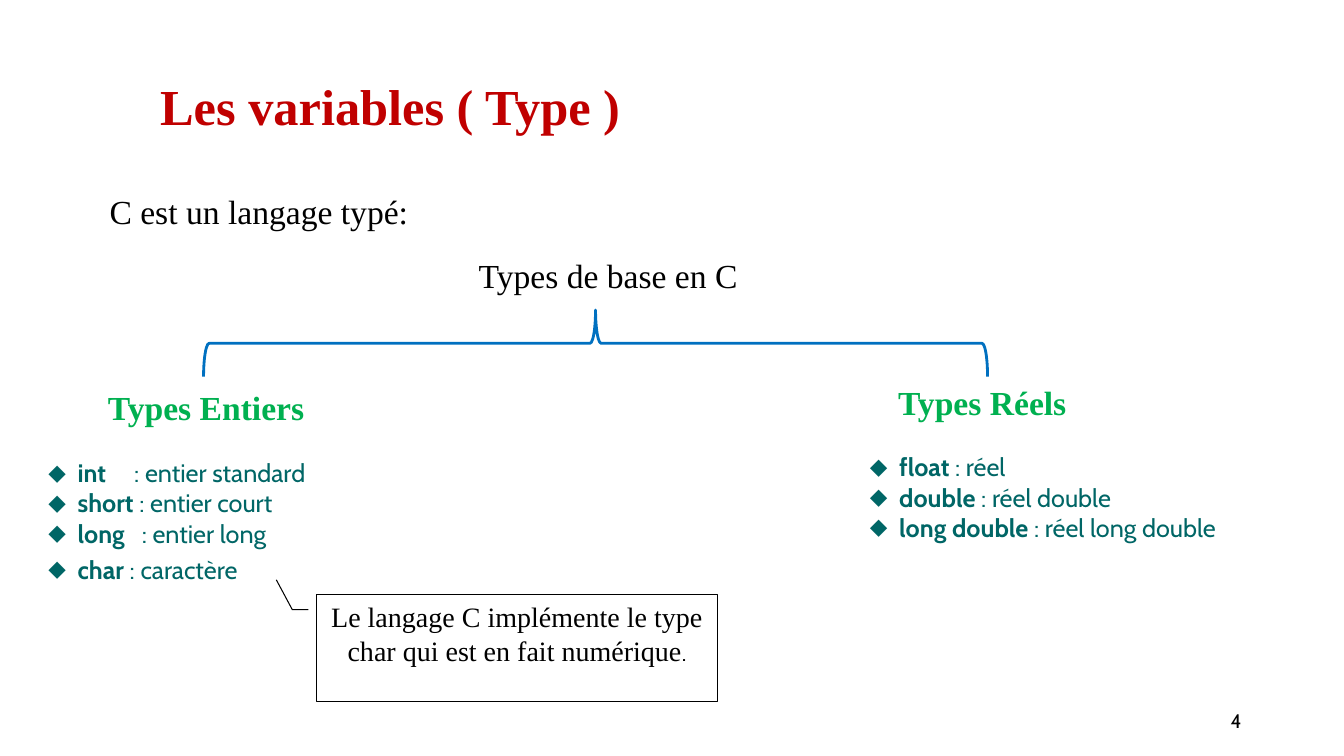
from dataclasses import dataclass

from lxml.etree import SubElement
from pptx import Presentation
from pptx.dml.color import RGBColor
from pptx.enum.shapes import MSO_SHAPE
from pptx.enum.text import MSO_ANCHOR, MSO_AUTO_SIZE, PP_ALIGN
from pptx.oxml.ns import qn
from pptx.util import Inches, Pt


@dataclass(frozen=True)
class Theme:
    """Colours, fonts and type sizes of the slide."""
    black: str = "000000"
    white: str = "FFFFFF"
    title: str = "C00000"
    heading: str = "00B050"
    item: str = "006666"
    brace: str = "0070C0"
    serif: str = "Times New Roman"
    sans: str = "Cabin"
    title_size: int = 36
    text_size: int = 24
    note_size: int = 20
    stop_size: int = 16
    item_size: int = 18
    number_size: int = 14


T = Theme()
WIDTH, HEIGHT = Inches(13.33), Inches(7.5)
COLS, ROWS = 48, 27
LIST_INDENT = Inches(0.29)


def grid(x, y, w, h):
    """Turn a box in columns and rows into slide lengths."""
    col, row = WIDTH / COLS, HEIGHT / ROWS
    return int(x * col), int(y * row), int(w * col), int(h * row)


def move(shape, box):
    """Place a shape in a grid box."""
    shape.left, shape.top, shape.width, shape.height = grid(*box)


def add_run(p, text, size, color=T.black, font=T.serif, bold=False, gap=0):
    """Add one formatted run, with optional extra character spacing in points."""
    r = p.add_run()
    r.text = text
    r.font.size, r.font.name, r.font.bold = Pt(size), font, bold
    r.font.color.rgb = RGBColor.from_string(color)
    if gap:
        r.font._element.set("spc", str(gap * 100))


def label(s, box, text, size=T.text_size, spacing=1.0, align=PP_ALIGN.LEFT,
          anchor=MSO_ANCHOR.TOP, **style):
    """Add a one-line text box."""
    tf = s.shapes.add_textbox(*grid(*box)).text_frame
    tf.word_wrap, tf.vertical_anchor = True, anchor
    p = tf.paragraphs[0]
    p.alignment, p.line_spacing = align, spacing
    add_run(p, text, size, **style)


def title(s, box, text):
    """Fill the title placeholder."""
    sp = s.shapes.title
    move(sp, box)
    tf = sp.text_frame
    tf.vertical_anchor, tf.auto_size = MSO_ANCHOR.MIDDLE, MSO_AUTO_SIZE.NONE
    p = tf.paragraphs[0]
    p.alignment, p.line_spacing = PP_ALIGN.LEFT, 0.9
    add_run(p, text, T.title_size, T.title, bold=True)


def brace(s, box):
    """Draw a brace lying across the box with its tip upwards."""
    x, y, w, h = grid(*box)
    sp = s.shapes.add_shape(MSO_SHAPE.RIGHT_BRACE, x + (w - h) // 2,
                            y + (h - w) // 2, h, w)
    sp.rotation = 270
    sp.shadow.inherit = False
    sp.fill.background()
    sp.line.color.rgb = RGBColor.from_string(T.brace)
    sp.line.width = Pt(2)


def type_list(sp, box, items):
    """Fill a body placeholder with type names and their meanings."""
    move(sp, box)
    tf = sp.text_frame
    tf.word_wrap, tf.auto_size = True, MSO_AUTO_SIZE.NONE
    for i, (name, gap, meaning, before) in enumerate(items):
        p = tf.add_paragraph() if i else tf.paragraphs[0]
        pPr = p._p.get_or_add_pPr()
        pPr.set("marL", str(LIST_INDENT))
        pPr.set("indent", str(-LIST_INDENT))
        SubElement(pPr, qn("a:buChar")).set("char", "⬥")
        p.line_spacing, p.space_before = 1.0, Pt(before)
        style = dict(size=T.item_size, color=T.item, font=T.sans)
        add_run(p, name, bold=True, **style)
        add_run(p, " ", gap=gap, **style)
        add_run(p, ": " + meaning, **style)


def branch(s, sp, box, heading, shift, drop, spacing, items):
    """Build a heading with its list of types below."""
    x, y, w, h = box
    label(s, (x + shift, y, w - shift, 1.8), heading, spacing=spacing,
          color=T.heading, bold=True)
    type_list(sp, (x, y + drop, w, h - drop), items)


def callout(s, box, text):
    """Add the framed note with its bent leader."""
    sp = s.shapes.add_shape(MSO_SHAPE.LINE_CALLOUT_2, *grid(*box))
    for i, value in enumerate((0.14, -0.02, 0.14, -0.06, -0.14, -0.1)):
        sp.adjustments[i] = value
    sp.shadow.inherit = False
    sp.fill.solid()
    sp.fill.fore_color.rgb = RGBColor.from_string(T.white)
    sp.line.color.rgb = RGBColor.from_string(T.black)
    sp.line.width = Pt(0.75)
    tf = sp.text_frame
    tf.word_wrap, tf.vertical_anchor = True, MSO_ANCHOR.TOP
    p = tf.paragraphs[0]
    p.alignment = PP_ALIGN.CENTER
    add_run(p, text, T.note_size)
    add_run(p, ".", T.stop_size, font=T.sans)


def types_slide(prs):
    """Build the slide on the basic types of C."""
    s = prs.slides.add_slide(prs.slide_layouts[3])
    integers, reals = s.placeholders[1], s.placeholders[2]
    title(s, (5.36, 2.56, 31.8, 2.7), "Les variables ( Type )")
    label(s, (3.56, 6.91, 13, 1.5), "C est un langage typé:", spacing=0.8)
    label(s, (16.74, 9.22, 11, 1.5), "Types de base en C", spacing=0.8)
    brace(s, (7.27, 11.07, 28, 2.38))
    branch(s, integers, (1.37, 13.64, 12, 8), "Types Entiers", 2.13, 2.52, 1.0, [
        ("int", 16, "entier standard", 0),
        ("short", 0, "entier court", 0),
        ("long", 8, "entier long", 0),
        ("char", 0, "caractère", 4),
    ])
    branch(s, reals, (30.71, 13.64, 16, 7), "Types Réels", 1.01, 2.31, 0.9, [
        ("float", 0, "réel", 0),
        ("double", 0, "réel double", 0),
        ("long double", 0, "réel long double", 0),
    ])
    callout(s, (11.3, 21.24, 14.33, 3.82),
            "Le langage C implémente le type char qui est en fait numérique")
    label(s, (33.9, 25.02, 10.8, 1.44), "4", T.number_size, font=T.sans,
          align=PP_ALIGN.RIGHT, anchor=MSO_ANCHOR.MIDDLE)


def main():
    """Create and save the presentation."""
    prs = Presentation()
    prs.slide_width, prs.slide_height = WIDTH, HEIGHT
    types_slide(prs)
    prs.save("out.pptx")


if __name__ == "__main__":
    main()
